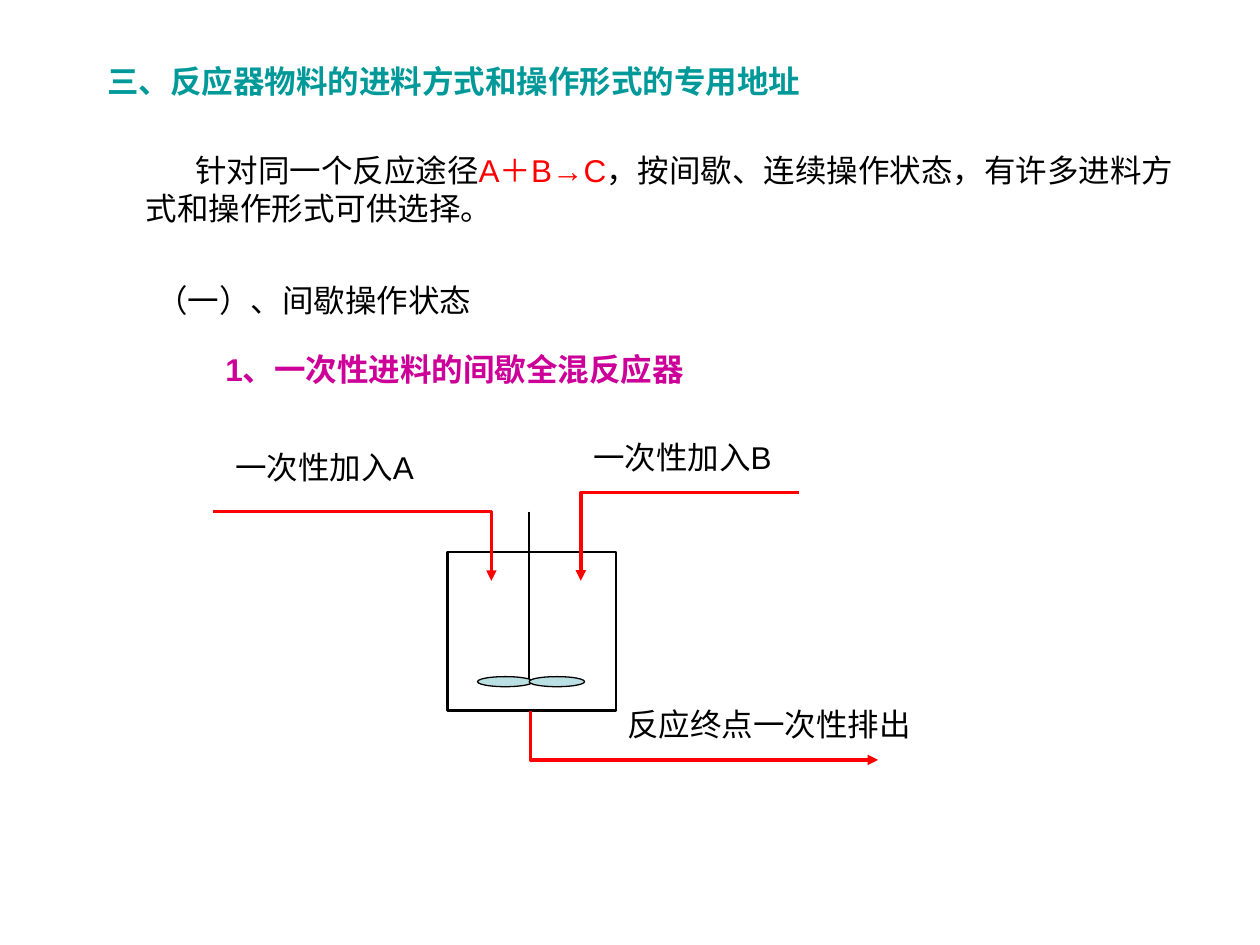
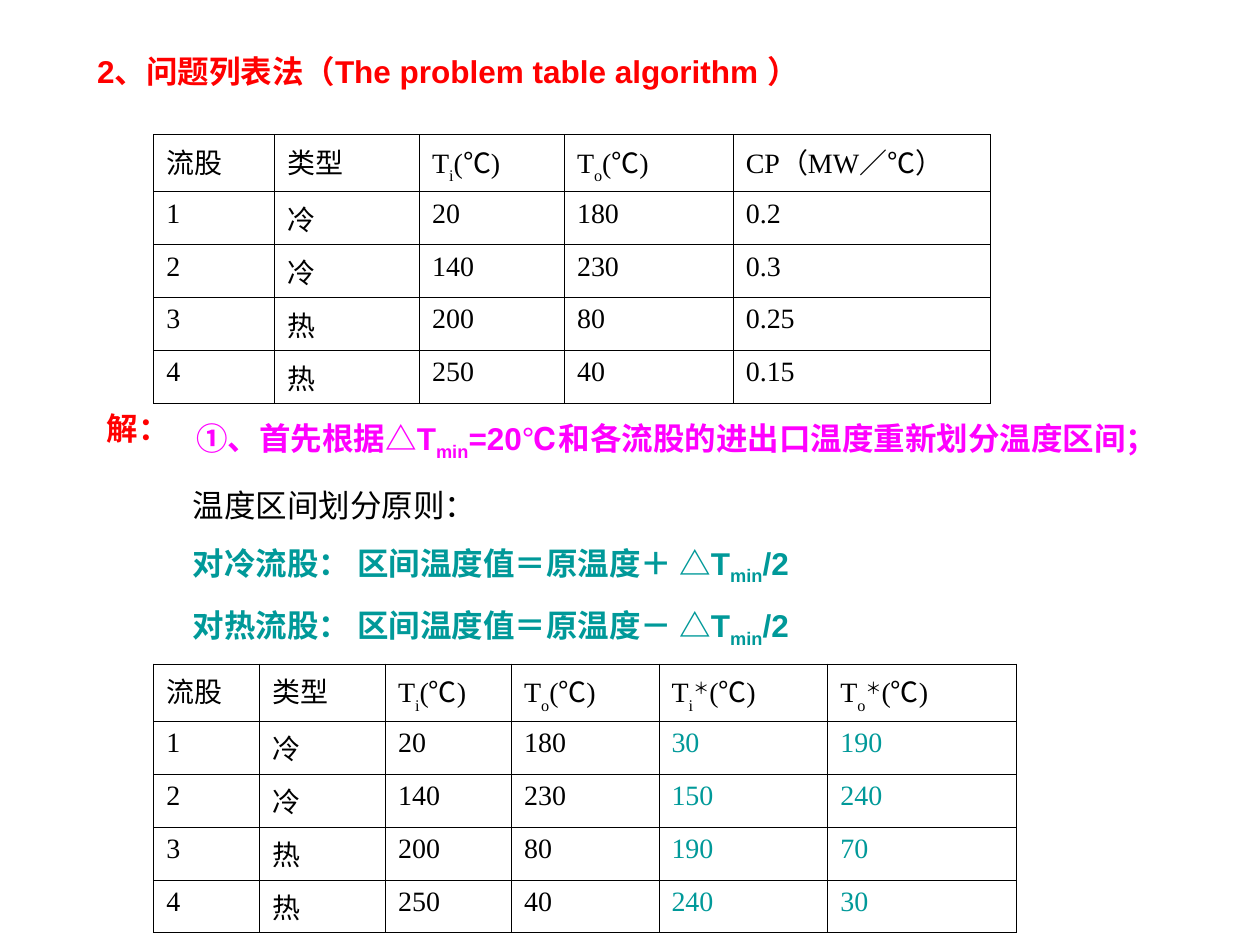
from lxml.etree import SubElement
from pptx import Presentation
from pptx.dml.color import RGBColor
from pptx.enum.shapes import MSO_CONNECTOR, MSO_SHAPE
from pptx.enum.text import MSO_ANCHOR, MSO_AUTO_SIZE, PP_ALIGN
from pptx.oxml.ns import qn
from pptx.util import Inches, Pt

# Shared look
BLACK, RED, TEAL = "000000", "FF0000", "009999"
PURPLE, PINK, BLUE = "CC0099", "FF00FF", "BBE0E3"
SANS, SERIF, CJK = "Arial", "Times New Roman", "Noto Sans CJK SC"
SUB, SUP, MIN = {"base": -30}, {"base": 30}, {"base": -25}
DEG = [("(", {}), ("℃", {"face": CJK}), (")", {})]


def rgb(code):
    return RGBColor.from_string(code)


def box(left, top, width, height):
    return [Inches(n) for n in (left, top, width, height)]


# Text
def style(run, size=18, face=SANS, color=BLACK, bold=False, base=0):
    font = run.font
    font.size, font.name, font.bold = Pt(size), face, bold
    font.color.rgb = rgb(color)
    props = run._r.get_or_add_rPr()
    if base:
        props.set("baseline", str(base * 1000))
    SubElement(props, qn("a:ea")).set("typeface", CJK)


def write(para, parts, **look):
    """Fill a paragraph from a string or from (text, changes) pairs."""
    if isinstance(parts, str):
        parts = [(parts, {})]
    para.alignment = PP_ALIGN.LEFT
    for text, change in parts:
        run = para.add_run()
        run.text = text
        style(run, **{**look, **change})


def set_up(frame):
    frame.word_wrap = True
    frame.auto_size = MSO_AUTO_SIZE.NONE
    frame.vertical_anchor = MSO_ANCHOR.TOP


def add_title(slide, place, text, color):
    title = slide.shapes.title
    title.left, title.top, title.width, title.height = box(*place)
    set_up(title.text_frame)
    write(title.text_frame.paragraphs[0], text, color=color, bold=True)


def add_text(slide, place, *lines, **look):
    frame = slide.shapes.add_textbox(*box(*place)).text_frame
    set_up(frame)
    for i, parts in enumerate(lines):
        para = frame.add_paragraph() if i else frame.paragraphs[0]
        if i:
            para.space_before = Pt(11.2)
        write(para, parts, **look)
    return frame


# Drawing
def add_shape(shapes, kind, place, weight, fill=None):
    shape = shapes.add_shape(kind, *box(*place))
    shape.shadow.inherit = False
    if fill:
        shape.fill.solid()
        shape.fill.fore_color.rgb = rgb(fill)
    else:
        shape.fill.background()
    shape.line.color.rgb = rgb(BLACK)
    shape.line.width = Pt(weight)


def add_flow(slide, *points):
    """Draw a bent pipe with an arrowhead at its last point."""
    start, *rest = [(Inches(x), Inches(y)) for x, y in points]
    path = slide.shapes.build_freeform(*start)
    path.add_line_segments(rest, close=False)
    pipe = path.convert_to_shape()
    pipe.shadow.inherit = False
    pipe.fill.background()
    pipe.line.color.rgb = rgb(RED)
    pipe.line.width = Pt(2)
    SubElement(pipe.line._get_or_add_ln(), qn("a:tailEnd")).set("type", "triangle")


def add_tank(slide):
    parts = slide.shapes.add_group_shape().shapes
    add_shape(parts, MSO_SHAPE.RECTANGLE, (3.55, 4.38, 1.34, 1.26), 1.5)
    shaft = parts.add_connector(MSO_CONNECTOR.STRAIGHT, *box(4.2, 4.06, 4.2, 5.4))
    shaft.line.color.rgb = rgb(BLACK)
    shaft.line.width = Pt(1.25)
    SubElement(shaft._element.spPr, qn("a:effectLst"))
    for left in (3.79, 4.2):
        add_shape(parts, MSO_SHAPE.OVAL, (left, 5.37, 0.44, 0.08), 0.75, BLUE)


# Tables
def edge(cell):
    props = cell._tc.get_or_add_tcPr()
    for side in ("a:lnL", "a:lnR", "a:lnT", "a:lnB"):
        line = SubElement(props, qn(side), w=str(Pt(0.45)))
        fill = SubElement(line, qn("a:solidFill"))
        SubElement(fill, qn("a:srgbClr")).set("val", BLACK)
    cell.fill.background()


def add_grid(slide, left, top, widths, rows, marked=()):
    """Add a stream table; body cells of the marked columns are teal."""
    place = box(left, top, sum(widths), 1.9)
    grid = slide.shapes.add_table(len(rows), len(widths), *place).table
    grid.first_row = grid.horz_banding = False
    for col, width in zip(grid.columns, widths):
        col.width = Inches(width)
    for r, row in enumerate(rows):
        grid.rows[r].height = Inches(0.37 if r else 0.42)
        for c, parts in enumerate(row):
            cell = grid.cell(r, c)
            edge(cell)
            color = TEAL if r and c in marked else BLACK
            write(cell.text_frame.paragraphs[0], parts,
                  size=16, face=SERIF, color=color)


def temp(sub, star=False):
    mark = [("＊", SUP)] if star else []
    return [("T", {}), (sub, SUB)] + mark + DEG


# Slides
def reactor(slide):
    add_title(slide, (0.75, 0.44, 6.61, 0.4),
              "三、反应器物料的进料方式和操作形式的专用地址", TEAL)
    intro = add_text(slide, (1.06, 1.15, 8.43, 0.7), [
        ("针对同一个反应途径", {}),
        ("A＋B→C", {"color": RED}),
        ("，按间歇、连续操作状态，有许多进料方式和操作形式可供选择。", {}),
    ])
    intro.paragraphs[0]._p.get_or_add_pPr().set("indent", str(Inches(0.39)))
    add_text(slide, (1.14, 2.18, 8.27, 0.4), "（一）、间歇操作状态")
    add_text(slide, (1.69, 2.73, 4.02, 0.4), "1、一次性进料的间歇全混反应器",
             color=PURPLE, bold=True)

    # Stirred tank with two feeds and one outlet
    add_tank(slide)
    add_flow(slide, (1.69, 4.06), (3.9, 4.06), (3.9, 4.61))
    add_flow(slide, (6.34, 3.91), (4.61, 3.91), (4.61, 4.61))
    add_flow(slide, (4.21, 5.64), (4.21, 6.03), (6.97, 6.03))
    add_text(slide, (1.77, 3.51, 1.73, 0.4), "一次性加入A")
    add_text(slide, (4.61, 3.43, 1.73, 0.4), "一次性加入B")
    add_text(slide, (4.88, 5.55, 2.68, 0.4), "反应终点一次性排出")


def problem(slide):
    add_title(slide, (0.67, 0.36, 5.99, 0.4),
              "2、问题列表法（The problem table algorithm ）", RED)

    # Streams: number, type, inlet and outlet temperature
    head = ["流股", "类型", temp("i"), temp("o")]
    streams = [["1", "冷", "20", "180"], ["2", "冷", "140", "230"],
               ["3", "热", "200", "80"], ["4", "热", "250", "40"]]
    power = [[("CP（MW／", {}), ("℃）", {"face": CJK})]], ["0.2"], ["0.3"], ["0.25"], ["0.15"]
    shifted = ([temp("i", True), temp("o", True)], ["30", "190"],
               ["150", "240"], ["190", "70"], ["240", "30"])
    base = [head] + streams
    add_grid(slide, 1.22, 1.07, (0.96, 1.15, 1.15, 1.34, 2.04),
             [row + more for row, more in zip(base, power)])
    add_grid(slide, 1.22, 5.27, (0.84, 1, 1, 1.17, 1.34, 1.5),
             [row + more for row, more in zip(base, shifted)], marked=(4, 5))

    # Solution steps
    add_text(slide, (0.75, 3.2, 0.79, 0.4), "解：", color=RED, bold=True)
    add_text(slide, (1.46, 3.28, 8.03, 0.44), [
        ("①、首先根据△T", {}), ("min", MIN),
        ("=20℃和各流股的进出口温度重新划分温度区间；", {}),
    ], color=PINK, bold=True)
    rules = [[(f"对{kind}流股： 区间温度值＝原温度{sign} △T", {}), ("min", MIN), ("/2", {})]
             for kind, sign in (("冷", "＋"), ("热", "－"))]
    plain = {"color": BLACK, "bold": False}
    add_text(slide, (1.43, 3.81, 6.61, 1.4), [("温度区间划分原则：", plain)],
             *rules, color=TEAL, bold=True)


def main():
    deck = Presentation()
    deck.slide_width, deck.slide_height = Inches(10), Inches(7.5)
    for build in (reactor, problem):
        build(deck.slides.add_slide(deck.slide_layouts[5]))
    deck.save("out.pptx")


if __name__ == "__main__":
    main()
